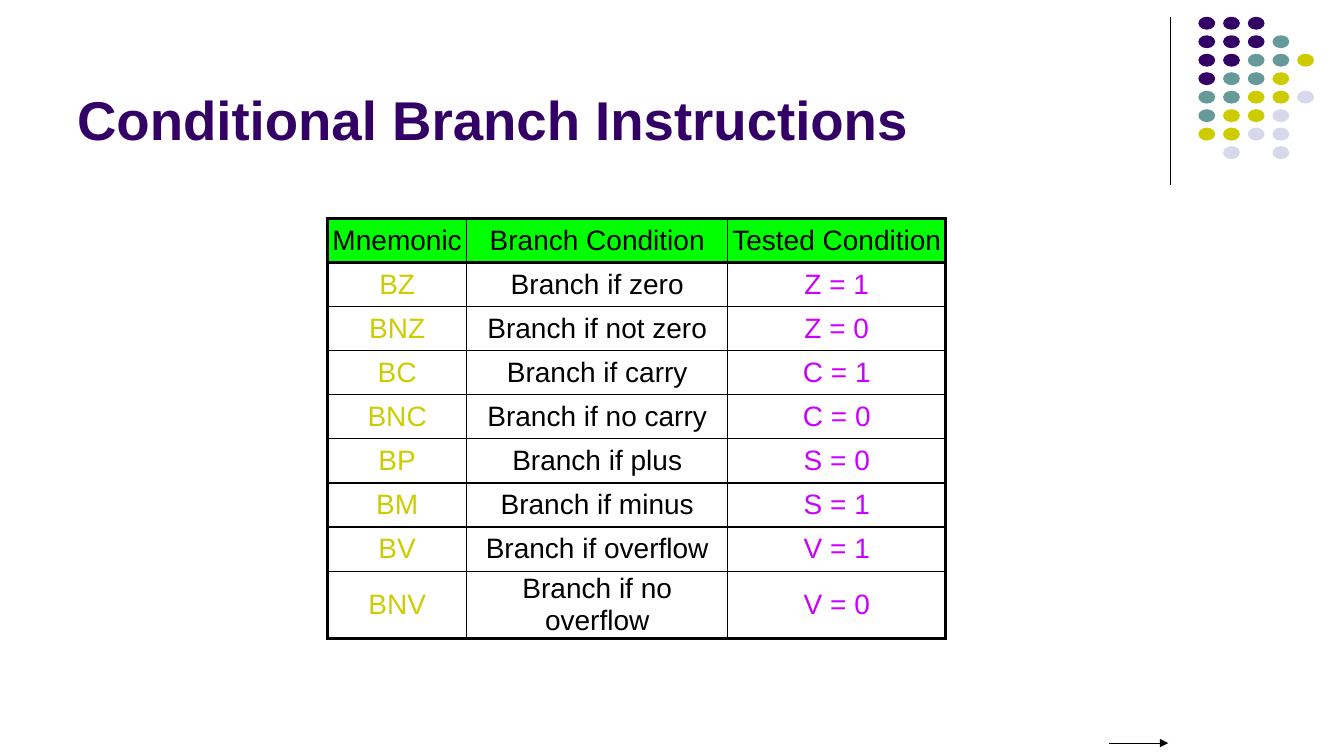
"""Build the slide on conditional branch instructions."""
from pptx import Presentation
from pptx.dml.color import RGBColor
from pptx.enum.shapes import MSO_CONNECTOR, MSO_SHAPE
from pptx.enum.text import MSO_ANCHOR, PP_ALIGN
from pptx.oxml import parse_xml
from pptx.oxml.ns import nsdecls
from pptx.util import Pt

TITLE = "Conditional Branch Instructions"
ROWS = [
    ("Mnemonic", "Branch Condition", "Tested Condition"),
    ("BZ", "Branch if zero", "Z = 1"),
    ("BNZ", "Branch if not zero", "Z = 0"),
    ("BC", "Branch if carry", "C = 1"),
    ("BNC", "Branch if no carry", "C = 0"),
    ("BP", "Branch if plus", "S = 0"),
    ("BM", "Branch if minus", "S = 1"),
    ("BV", "Branch if overflow", "V = 1"),
    ("BNV", "Branch if no overflow", "V = 0"),
]
WIDTHS = (99.4, 186.5, 155.7)
INKS = ("CCCC00", "000000", "CC00FF")
DOTS = ["PPP", "PPPT", "PPTTY", "PTTY", "TTYYL", "TYYL", "YYLL", " L L"]
HUES = {"P": "330066", "T": "669999", "Y": "CCCC00", "L": "D8D8EC"}
ROW = 31.5
THIN, THICK = 1, 2.25


def color(code):
    return RGBColor.from_string(code)


def write(frame, text, size=20, ink="000000", bold=False,
          align=PP_ALIGN.LEFT):
    frame.word_wrap = True
    para = frame.paragraphs[0]
    para.alignment = align
    run = para.add_run()
    run.text = text
    font = run.font
    font.name, font.size, font.bold = "Arial", Pt(size), bold
    font.color.rgb = color(ink)


def line(shapes, x1, y1, x2, y2, arrow=False):
    item = shapes.add_connector(
        MSO_CONNECTOR.STRAIGHT, Pt(x1), Pt(y1), Pt(x2), Pt(y2))
    item.line.width = Pt(0.75)
    item.line.color.rgb = color("000000")
    if arrow:
        item.line._get_or_add_ln().append(
            parse_xml(f'<a:tailEnd {nsdecls("a")} type="triangle"/>'))
    item._element.spPr.append(parse_xml(f'<a:effectLst {nsdecls("a")}/>'))


def edge(cell, side, width):
    cell._tc.get_or_add_tcPr().append(parse_xml(
        f'<a:ln{side} {nsdecls("a")} w="{Pt(width)}"><a:solidFill>'
        f'<a:srgbClr val="000000"/></a:solidFill></a:ln{side}>'))


def dots(shapes):
    for row, marks in enumerate(DOTS):
        for col, mark in enumerate(marks):
            if mark == " ":
                continue
            dot = shapes.add_shape(
                MSO_SHAPE.OVAL, Pt(856 + 17.64 * col), Pt(12 + 13.2 * row),
                Pt(12), Pt(9.2))
            dot.shadow.inherit = False
            dot.fill.solid()
            dot.fill.fore_color.rgb = color(HUES[mark])
            dot.line.fill.background()


def grid(shapes):
    last, end = len(ROWS) - 1, len(WIDTHS) - 1
    table = shapes.add_table(
        len(ROWS), len(WIDTHS), Pt(234), Pt(156),
        Pt(sum(WIDTHS)), Pt(ROW * len(ROWS))).table
    table.first_row = table.horz_banding = False
    for col, width in enumerate(WIDTHS):
        table.columns[col].width = Pt(width)
    for row, texts in enumerate(ROWS):
        table.rows[row].height = Pt(ROW)
        for col, text in enumerate(texts):
            cell = table.cell(row, col)
            cell.margin_left = cell.margin_right = 0
            cell.margin_top = cell.margin_bottom = 0
            cell.vertical_anchor = MSO_ANCHOR.MIDDLE
            heavy = {"L": col == 0, "R": col == end,
                     "T": row < 2, "B": row in (0, last)}
            for side, thick in heavy.items():
                edge(cell, side, THICK if thick else THIN)
            if row == 0:
                cell.fill.solid()
                cell.fill.fore_color.rgb = color("00FF00")
            else:
                cell.fill.background()
            write(cell.text_frame, text, align=PP_ALIGN.CENTER,
                  ink=INKS[col] if row else "000000")


def main():
    deck = Presentation()
    deck.slide_width, deck.slide_height = Pt(960), Pt(540)
    shapes = deck.slides.add_slide(deck.slide_layouts[6]).shapes
    line(shapes, 836, 12, 836, 132)
    dots(shapes)
    title = shapes.add_textbox(Pt(48), Pt(9.5), Pt(792), Pt(102)).text_frame
    title.vertical_anchor = MSO_ANCHOR.BOTTOM
    write(title, TITLE, size=39, ink="330066", bold=True)
    grid(shapes)
    line(shapes, 792, 530.8, 834.5, 530.8, arrow=True)
    deck.save("out.pptx")


if __name__ == "__main__":
    main()
